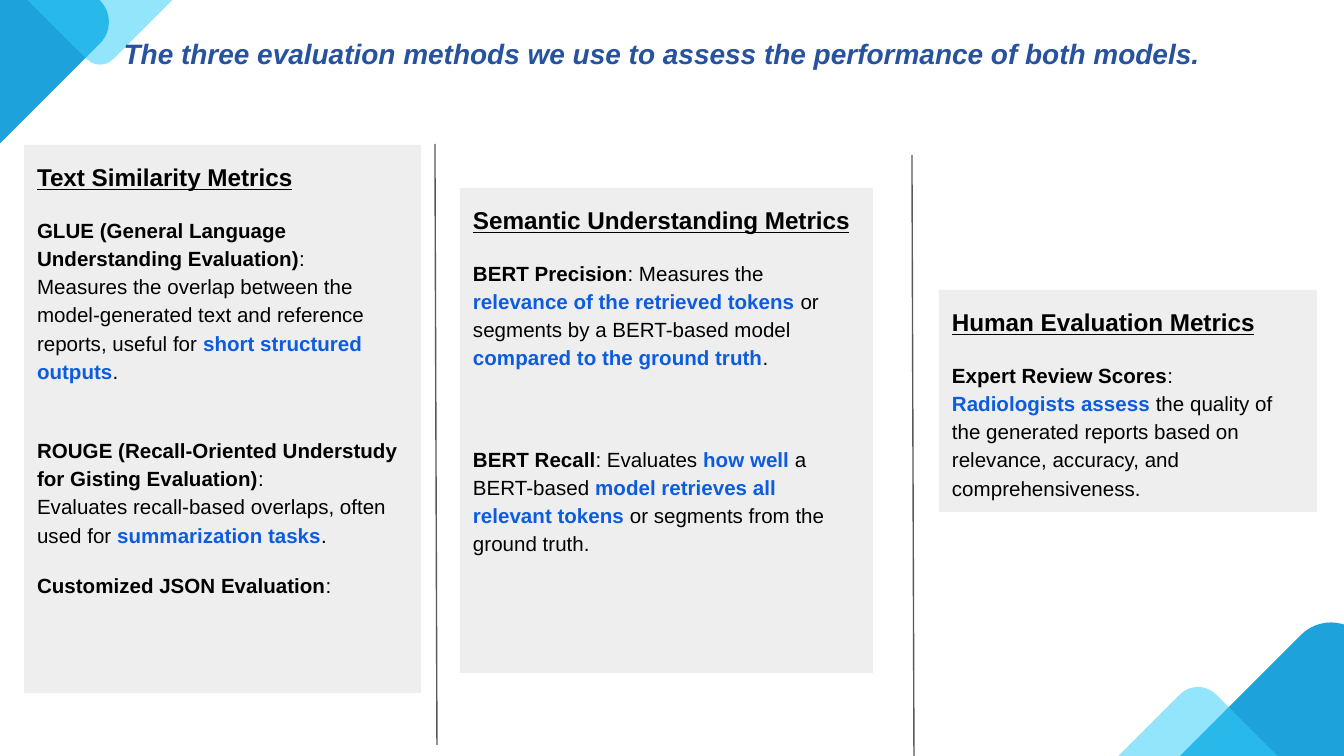
from dataclasses import dataclass

from lxml import etree
from pptx import Presentation
from pptx.dml.color import RGBColor
from pptx.enum.shapes import MSO_CONNECTOR, MSO_SHAPE
from pptx.enum.text import MSO_ANCHOR, PP_ALIGN
from pptx.oxml.ns import qn
from pptx.util import Emu, Pt

STRAIGHT = MSO_CONNECTOR.STRAIGHT
RECTANGLE = MSO_SHAPE.RECTANGLE
ROUNDED = MSO_SHAPE.ROUNDED_RECTANGLE
TOP = MSO_ANCHOR.TOP
LEFT, CENTER = PP_ALIGN.LEFT, PP_ALIGN.CENTER

WIDTH, HEIGHT = 1344, 756
EMU_PER_PX = 9144000 / WIDTH
PLAIN, BOLD, KEY = "plain", "bold", "key"


@dataclass(frozen=True)
class Theme:
    font: str = "Arial"
    title: str = "26529E"
    text: str = "000000"
    key: str = "0D5CDF"
    panel: str = "EEEEEE"
    divider: str = "595959"
    diamond: str = "1DA2DB"
    glass: str = "33CFF8"
    glass_opacity: int = 53
    title_size: int = 15
    heading_size: int = 13
    body_size: int = 11
    line_spacing: float = 1.15
    divider_width: float = 0.75
    inset: int = 13
    corner: float = 0.15


def px(length):
    return Emu(round(length * EMU_PER_PX))


class SlideBuilder:
    def __init__(self, slide, theme):
        self.slide = slide
        self.theme = theme

    def filled_shape(self, kind, left, top, width, height, color):
        shape = self.slide.shapes.add_shape(kind, px(left), px(top), px(width), px(height))
        shape.shadow.inherit = False
        shape.fill.solid()
        shape.fill.fore_color.rgb = RGBColor.from_string(color)
        shape.line.fill.background()
        return shape

    def diamond(self, center_x, center_y, side, color, opacity=100):
        shape = self.filled_shape(
            ROUNDED, center_x - side / 2, center_y - side / 2, side, side, color)
        shape.adjustments[0] = self.theme.corner
        shape.rotation = 45
        if opacity < 100:
            fill_color = shape.fill._xPr.find(qn("a:solidFill"))[0]
            etree.SubElement(fill_color, qn("a:alpha")).set("val", str(opacity * 1000))

    def prepare_frame(self, shape, top_inset):
        frame = shape.text_frame
        frame.word_wrap = True
        frame.vertical_anchor = TOP
        frame.margin_left = frame.margin_right = px(self.theme.inset)
        frame.margin_bottom = px(self.theme.inset)
        frame.margin_top = px(top_inset)
        return frame

    def style_paragraph(self, paragraph, size, color, alignment=LEFT):
        paragraph.alignment = alignment
        paragraph.line_spacing = self.theme.line_spacing
        paragraph.font.name = self.theme.font
        paragraph.font.size = Pt(size)
        paragraph.font.color.rgb = RGBColor.from_string(color)

    def title(self, text, left, top, width, height, top_inset):
        box = self.slide.shapes.add_textbox(px(left), px(top), px(width), px(height))
        paragraph = self.prepare_frame(box, top_inset).paragraphs[0]
        paragraph.text = text
        self.style_paragraph(paragraph, self.theme.title_size, self.theme.title, CENTER)
        paragraph.font.bold = True
        paragraph.font.italic = True

    def panel(self, bounds, heading, body):
        shape = self.filled_shape(RECTANGLE, *bounds, self.theme.panel)
        frame = self.prepare_frame(shape, self.theme.inset)
        paragraph = frame.paragraphs[0]
        paragraph.text = heading
        self.style_paragraph(paragraph, self.theme.heading_size, self.theme.text)
        paragraph.font.bold = True
        paragraph.font.underline = True
        for space_before, runs in body:
            paragraph = frame.add_paragraph()
            self.style_paragraph(paragraph, self.theme.body_size, self.theme.text)
            paragraph.space_before = Pt(space_before)
            for text, style in runs:
                self.add_text(paragraph, text, style)

    def add_text(self, paragraph, text, style):
        for index, line in enumerate(text.split("\n")):
            if index:
                paragraph.add_line_break()
            if line:
                run = paragraph.add_run()
                run.text = line
                run.font.bold = style != PLAIN
                if style == KEY:
                    run.font.color.rgb = RGBColor.from_string(self.theme.key)

    def divider(self, start_x, start_y, end_x, end_y):
        line = self.slide.shapes.add_connector(
            STRAIGHT, px(start_x), px(start_y), px(end_x), px(end_y))
        line.line.color.rgb = RGBColor.from_string(self.theme.divider)
        line.line.width = Pt(self.theme.divider_width)
        etree.SubElement(line._element.spPr, qn("a:effectLst"))


TEXT_SIMILARITY = [
    (12, [
        ("GLUE (General Language Understanding Evaluation)", BOLD),
        (":\nMeasures the overlap between the model-generated text and reference "
         "reports, useful for ", PLAIN),
        ("short structured outputs", KEY),
        (".", PLAIN),
    ]),
    (27, [
        ("ROUGE (Recall-Oriented Understudy for Gisting Evaluation)", BOLD),
        (":\nEvaluates recall-based overlaps, often used for ", PLAIN),
        ("summarization tasks", KEY),
        (".", PLAIN),
    ]),
    (12, [("Customized JSON Evaluation", BOLD), (":", PLAIN)]),
]

SEMANTIC_UNDERSTANDING = [
    (12, [
        ("BERT Precision", BOLD),
        (": Measures the ", PLAIN),
        ("relevance of the retrieved tokens", KEY),
        (" or segments by a BERT-based model ", PLAIN),
        ("compared to the ground truth", KEY),
        (".", PLAIN),
    ]),
    (39, [
        ("BERT Recall", BOLD),
        (": Evaluates ", PLAIN),
        ("how well", KEY),
        (" a BERT-based ", PLAIN),
        ("model retrieves all relevant tokens", KEY),
        (" or segments from the ground truth.", PLAIN),
    ]),
]

HUMAN_EVALUATION = [
    (12, [
        ("Expert Review Scores", BOLD),
        (":\n", PLAIN),
        ("Radiologists assess", KEY),
        (" the quality of the generated reports based on relevance, accuracy, "
         "and comprehensiveness.", PLAIN),
    ]),
]


def main():
    presentation = Presentation()
    presentation.slide_width = px(WIDTH)
    presentation.slide_height = px(HEIGHT)
    theme = Theme()
    builder = SlideBuilder(
        presentation.slides.add_slide(presentation.slide_layouts[6]), theme)

    builder.diamond(1331, 805, 283, theme.diamond)
    builder.diamond(1198, 796, 169, theme.glass, theme.glass_opacity)
    builder.diamond(-22, 22, 203, theme.diamond)
    builder.diamond(100, -14, 122, theme.glass, theme.glass_opacity)

    builder.panel((24, 145, 397, 548), "Text Similarity Metrics", TEXT_SIMILARITY)
    builder.panel((460, 188, 413, 485), "Semantic Understanding Metrics",
                  SEMANTIC_UNDERSTANDING)
    builder.panel((939, 290, 378, 222), "Human Evaluation Metrics", HUMAN_EVALUATION)

    builder.divider(435, 144, 437, 745)
    builder.divider(912, 155, 914, 756)
    builder.title(
        "The three evaluation methods we use to assess the performance of both models.",
        0, 0, 1324, 87, 38)
    presentation.save("out.pptx")


if __name__ == "__main__":
    main()
